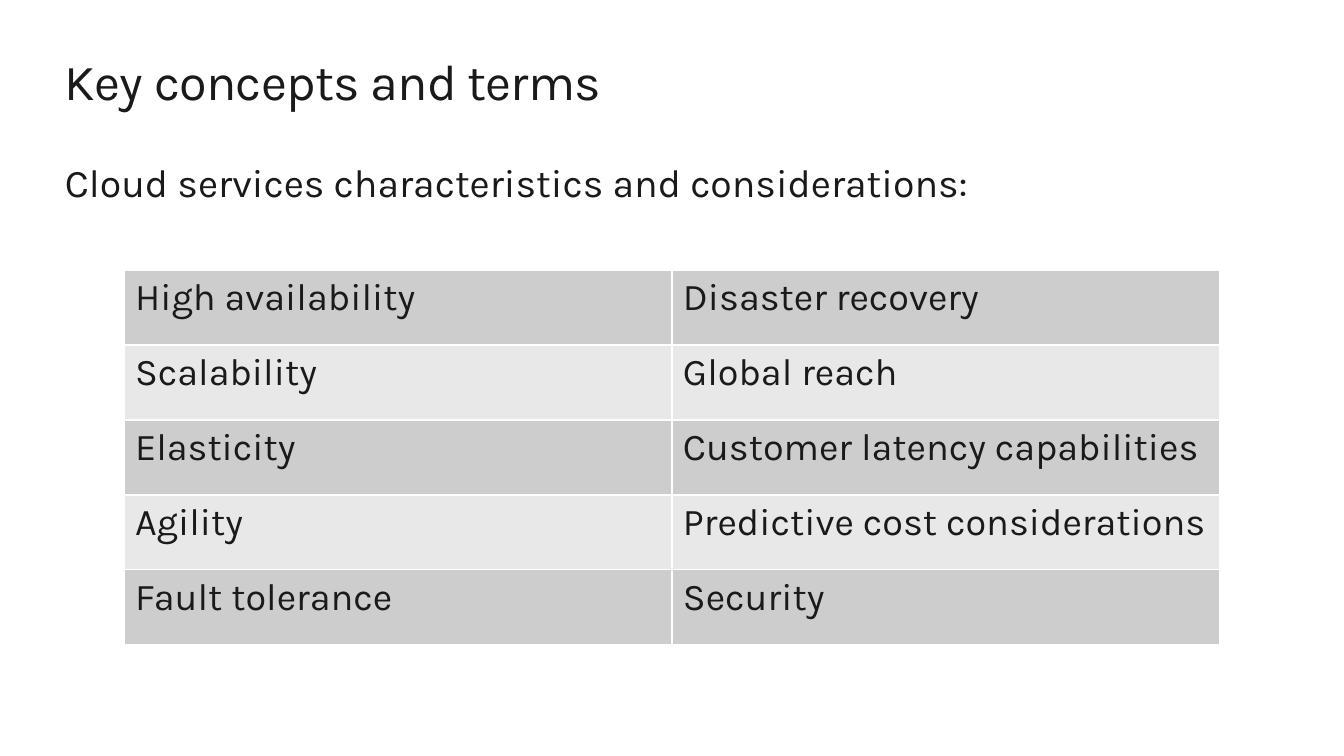
from lxml.etree import SubElement
from pptx import Presentation
from pptx.dml.color import RGBColor
from pptx.oxml.ns import qn
from pptx.util import Emu, Pt

EMU_PER_PX = 914400 / 100.8
FONT = "Karla"
INK = "1A1A1A"
BORDER = "FFFFFF"
BANDS = ("CDCDCD", "E8E8E8")
CHARACTERISTICS = [
    ("High availability", "Disaster recovery"),
    ("Scalability", "Global reach"),
    ("Elasticity", "Customer latency capabilities"),
    ("Agility", "Predictive cost considerations"),
    ("Fault tolerance", "Security"),
]


def px(length):
    """Turn a length in px into EMU."""
    return Emu(round(length * EMU_PER_PX))


def colour(code):
    """Turn a hex string into a colour."""
    return RGBColor.from_string(code)


def add_span(para, text, size):
    """Add a run in the slide's font and ink, and return it."""
    span = para.add_run()
    span.text = text
    span.font.name = FONT
    span.font.size = Pt(size)
    span.font.color.rgb = colour(INK)
    return span


def add_text(page, text, left, top, width, height, size):
    """Add a text box without margins and return its run."""
    frame = page.shapes.add_textbox(px(left), px(top), px(width), px(height)).text_frame
    frame.word_wrap = True
    frame.margin_left = frame.margin_right = 0
    frame.margin_top = frame.margin_bottom = 0
    return add_span(frame.paragraphs[0], text, size)


def add_borders(cell):
    """Draw a one-point line on each side of a cell."""
    properties = cell._tc.get_or_add_tcPr()
    for index, side in enumerate(("a:lnL", "a:lnR", "a:lnT", "a:lnB")):
        line = properties.makeelement(qn(side), {"w": str(Pt(1))})
        fill = SubElement(line, qn("a:solidFill"))
        SubElement(fill, qn("a:srgbClr"), val=BORDER)
        properties.insert(index, line)


def fill_cell(cell, text, band):
    """Set the text, margins, fill and borders of a cell."""
    cell.margin_left = cell.margin_right = px(11)
    cell.margin_top = cell.margin_bottom = px(6)
    cell.fill.solid()
    cell.fill.fore_color.rgb = colour(band)
    add_borders(cell)
    add_span(cell.text_frame.paragraphs[0], text, 27)


def add_banded_table(page, rows, left, top, column_width, row_height):
    """Add a table of equal cells with alternating row fills."""
    columns = len(rows[0])
    table = page.shapes.add_table(
        len(rows), columns, px(left), px(top),
        px(column_width * columns), px(row_height * len(rows)),
    ).table
    table.first_row = False
    for row, texts in enumerate(rows):
        for column, text in enumerate(texts):
            fill_cell(table.cell(row, column), text, BANDS[row % len(BANDS)])


def main():
    """Build the slide and save the deck."""
    deck = Presentation()
    deck.slide_width, deck.slide_height = px(1344), px(756)
    page = deck.slides.add_slide(deck.slide_layouts[6])
    title = add_text(page, "Key concepts and terms", 65, 50, 1215, 61, 36)
    title.font._element.set("spc", "-50")
    add_text(page, "Cloud services characteristics and considerations:", 65, 158, 1215, 47, 28)
    add_banded_table(page, CHARACTERISTICS, 124, 270, 548, 75)
    deck.save("out.pptx")


if __name__ == "__main__":
    main()
